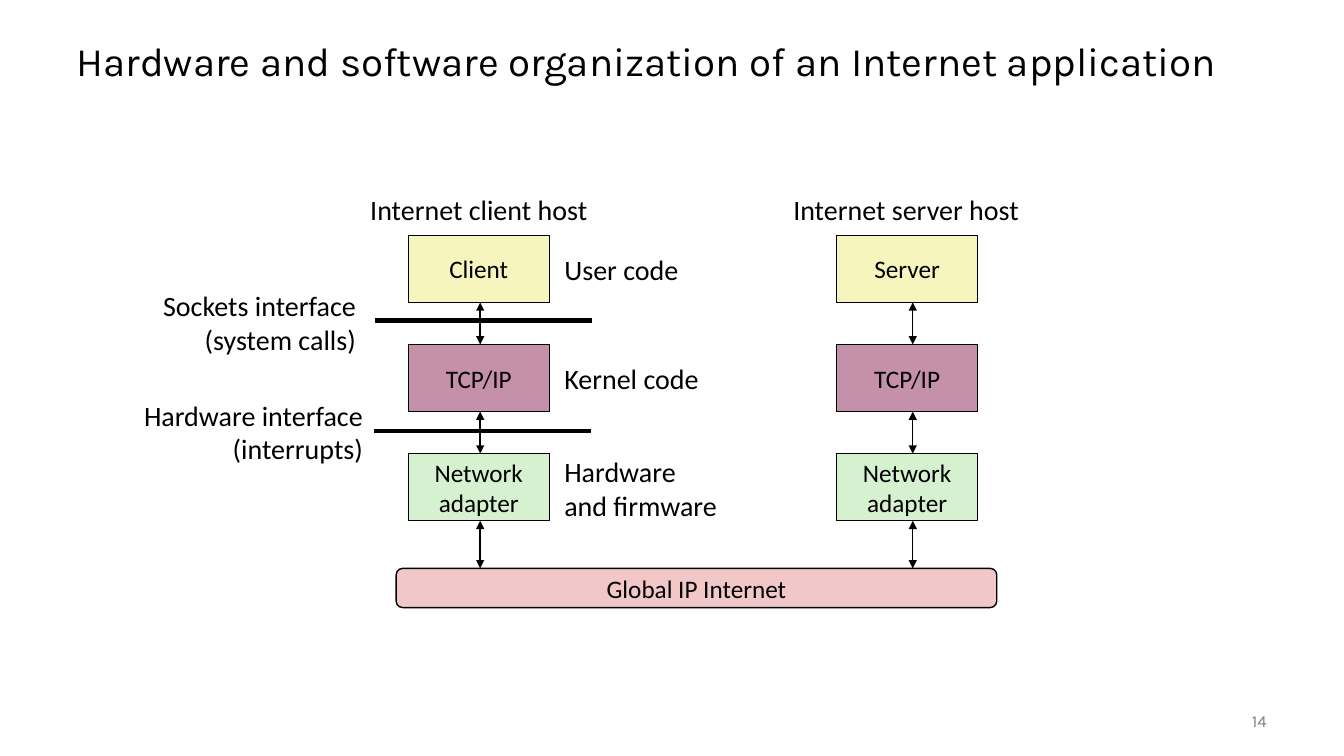
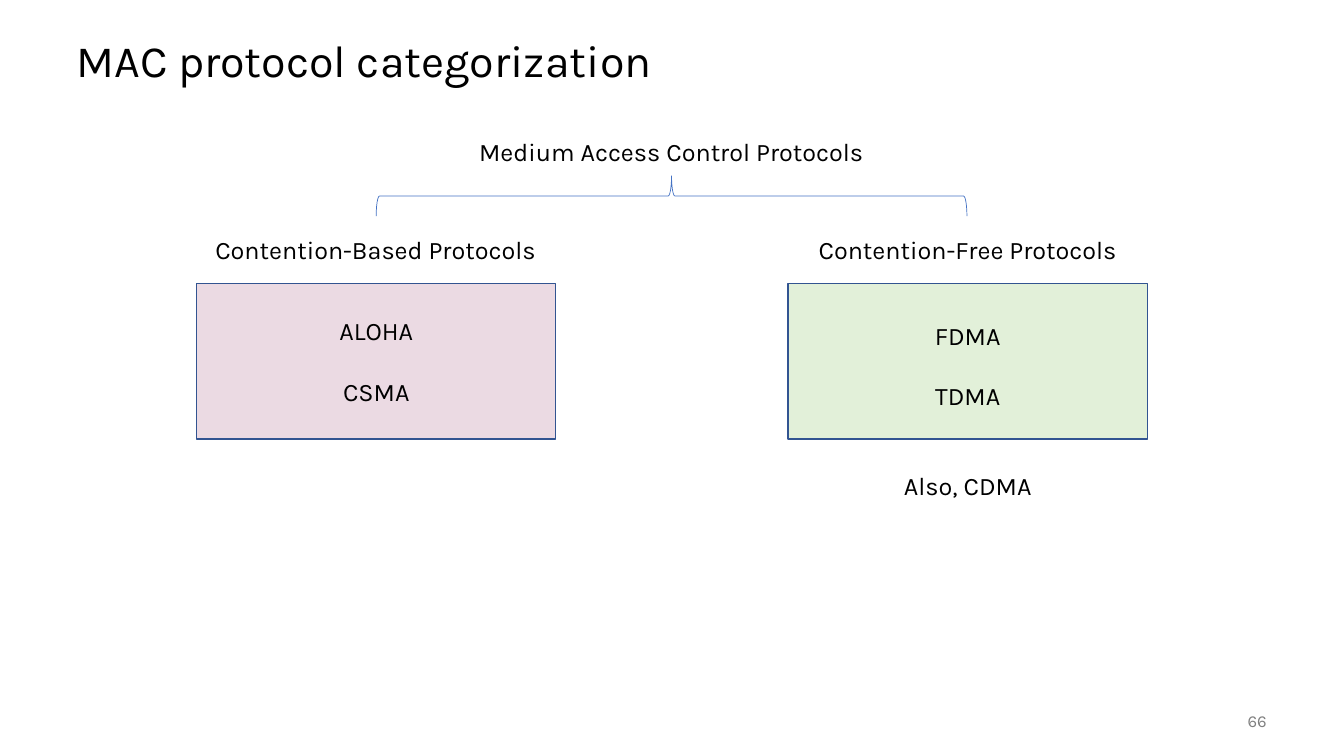
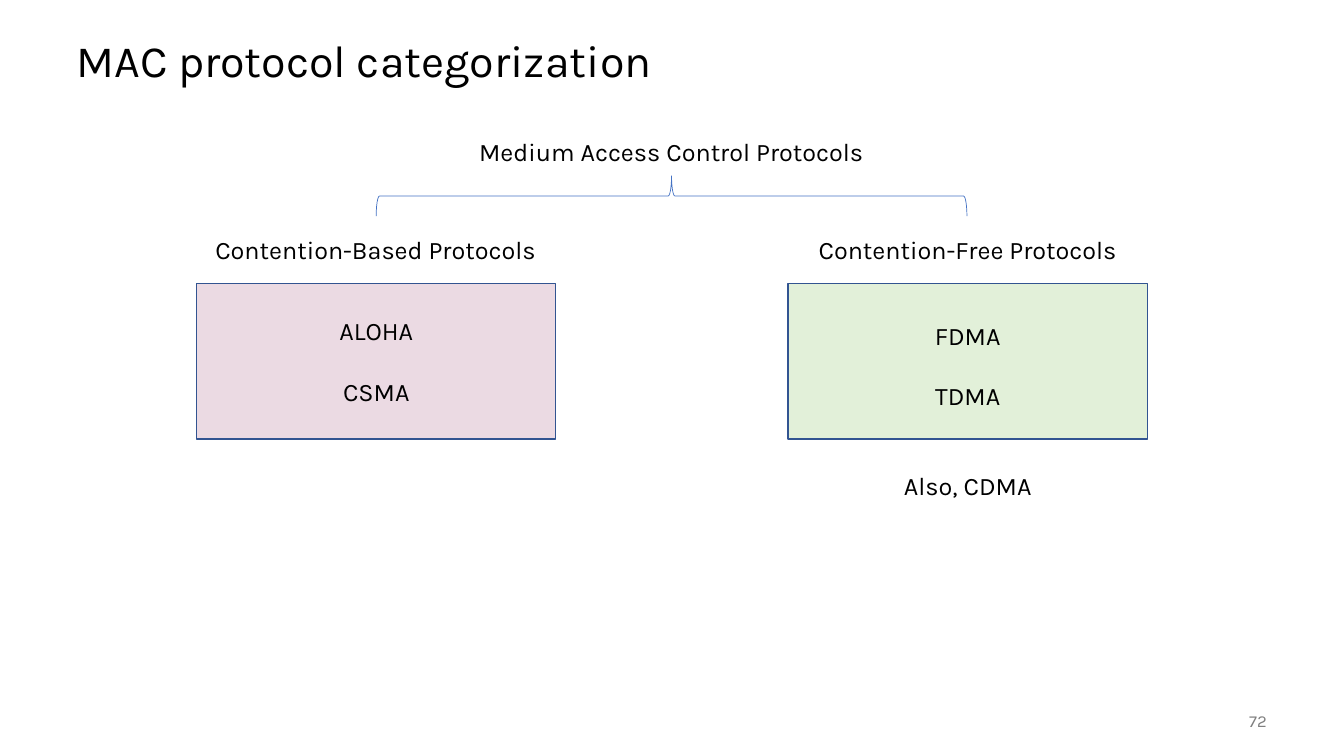
import pptx
import pptx.dml.color
import pptx.enum.shapes
import pptx.enum.text
import pptx.oxml.ns
import pptx.util
import lxml.etree

Pt = pptx.util.Pt
RGBColor = pptx.dml.color.RGBColor
MSO_SHAPE = pptx.enum.shapes.MSO_SHAPE
ALIGN = pptx.enum.text.PP_ALIGN
ANCHOR = pptx.enum.text.MSO_ANCHOR
qn = pptx.oxml.ns.qn

BLACK = RGBColor(0x00, 0x00, 0x00)
GRAY = RGBColor(0x80, 0x80, 0x80)
YELLOW = RGBColor(0xF6, 0xF5, 0xBD)
MAUVE = RGBColor(0xC4, 0x90, 0xAA)
MINT = RGBColor(0xD5, 0xF1, 0xCF)
ROSE = RGBColor(0xF1, 0xC7, 0xC7)
PALE_PINK = RGBColor(0xEB, 0xDA, 0xE3)
PALE_GREEN = RGBColor(0xE2, 0xF0, 0xD9)
NAVY = RGBColor(0x32, 0x54, 0x91)
BLUE = RGBColor(0x44, 0x72, 0xC4)

HEADING_FONT = "Karla"
DIAGRAM_FONT = "Calibri"


def write(shape, lines, size, font=HEADING_FONT, color=BLACK, align=ALIGN.CENTER,
          anchor=ANCHOR.MIDDLE, wrap=True):
    frame = shape.text_frame
    frame.word_wrap = wrap
    frame.vertical_anchor = anchor
    for index, line in enumerate(lines):
        para = frame.add_paragraph() if index else frame.paragraphs[0]
        para.text = line
        para.alignment = align
        para.font.name = font
        para.font.size = Pt(size)
        para.font.color.rgb = color
    return frame.paragraphs


def connect(page, x1, y1, x2, y2, width, arrows=False):
    line = page.shapes.add_connector(pptx.enum.shapes.MSO_CONNECTOR.STRAIGHT,
                                     Pt(x1), Pt(y1), Pt(x2), Pt(y2))
    line.line.color.rgb = BLACK
    line.line.width = Pt(width)
    if arrows:
        outline = line.line._get_or_add_ln()
        for end in ("a:headEnd", "a:tailEnd"):
            lxml.etree.SubElement(outline, qn(end), type="triangle")
    lxml.etree.SubElement(line._element.spPr, qn("a:effectLst"))


deck = pptx.Presentation()
deck.slide_width = Pt(960)
deck.slide_height = Pt(540)

# Titles and page numbers
pages = []
for title, title_size, number in (
    ("Hardware and software organization of an Internet application", 28.8, "14"),
    ("MAC protocol categorization", 32, "66"),
    ("MAC protocol categorization", 32, "72"),
):
    page = deck.slides.add_slide(deck.slide_layouts[6])
    box = page.shapes.add_textbox(Pt(47.5), Pt(18), Pt(864), Pt(54))
    write(box, [title], title_size, align=ALIGN.LEFT)[0].line_spacing = 0.9
    box = page.shapes.add_textbox(Pt(840), Pt(500.4), Pt(72), Pt(28.8))
    write(box, [number], 12, color=GRAY, align=ALIGN.RIGHT)
    pages.append(page)

# Slide 1: protocol stacks of the two hosts
host_page = pages[0]
layer_width, layer_height, layer_pitch, stack_top = 100.8, 48, 78, 168
internet_top = 406
for left, arrow_x, program in ((291.6, 343, "Client"), (597.6, 652, "Server")):
    layers = (([program], YELLOW), (["TCP/IP"], MAUVE), (["Network", "adapter"], MINT))
    for row, (lines, fill) in enumerate(layers):
        top = stack_top + row * layer_pitch
        bottom = top + layer_height
        layer = host_page.shapes.add_shape(MSO_SHAPE.RECTANGLE, Pt(left), Pt(top),
                                           Pt(layer_width), Pt(layer_height))
        layer.shadow.inherit = False
        layer.fill.solid()
        layer.fill.fore_color.rgb = fill
        layer.line.color.rgb = BLACK
        layer.line.width = Pt(1)
        write(layer, lines, 18, DIAGRAM_FONT, wrap=False)
        arrow_end = internet_top if row == 2 else top + layer_pitch
        connect(host_page, arrow_x, bottom, arrow_x, arrow_end, 1, arrows=True)

# Slide 1: the network below both hosts
internet = host_page.shapes.add_shape(MSO_SHAPE.ROUNDED_RECTANGLE, Pt(283),
                                      Pt(internet_top), Pt(429), Pt(28))
internet.shadow.inherit = False
internet.fill.solid()
internet.fill.fore_color.rgb = ROSE
internet.line.color.rgb = BLACK
internet.line.width = Pt(1)
write(internet, ["Global IP Internet"], 18, DIAGRAM_FONT, wrap=False)

# Slide 1: labels and interface lines
for left, top, width, align, lines in (
    (256.3, 134, 171.4, ALIGN.CENTER, ["Internet client host"]),
    (558.7, 134, 177.1, ALIGN.CENTER, ["Internet server host"]),
    (107.3, 202.3, 154.1, ALIGN.RIGHT, ["Sockets interface", "(system calls)"]),
    (93.6, 280.8, 172.8, ALIGN.RIGHT, ["Hardware interface", "(interrupts)"]),
    (396, 176.4, 97.2, ALIGN.LEFT, ["User code"]),
    (396, 254.4, 111.6, ALIGN.LEFT, ["Kernel code"]),
    (396, 321.1, 124.6, ALIGN.LEFT, ["Hardware", "and firmware"]),
):
    height = 31.5 if len(lines) == 1 else 55.5
    label = host_page.shapes.add_textbox(Pt(left), Pt(top), Pt(width), Pt(height))
    write(label, lines, 20, DIAGRAM_FONT, align=align, wrap=False)
for left, y in ((268, 229), (267, 308)):
    connect(host_page, left, y, left + 155, y, 3)

# Slides 2 and 3: protocol families under a brace
for page in pages[1:]:
    for left, top, text in (
        (324.7, 93.6, "Medium Access Control Protocols"),
        (113.5, 164, "Contention-Based Protocols"),
        (536.4, 164, "Contention-Free Protocols"),
    ):
        heading = page.shapes.add_textbox(Pt(left), Pt(top), Pt(309.6), Pt(29))
        write(heading, [text], 18, anchor=ANCHOR.TOP)

    for left, fill, list_top, list_height, names in (
        (140.5, PALE_PINK, 221.8, 72.7, ["ALOHA", "CSMA"]),
        (563, PALE_GREEN, 225, 138, ["FDMA", "TDMA", "Also, CDMA"]),
    ):
        panel = page.shapes.add_shape(MSO_SHAPE.RECTANGLE, Pt(left), Pt(202.5),
                                      Pt(256.5), Pt(111))
        panel.shadow.inherit = False
        panel.fill.solid()
        panel.fill.fore_color.rgb = fill
        panel.line.color.rgb = NAVY
        panel.line.width = Pt(1)
        protocols = page.shapes.add_textbox(Pt(left), Pt(list_top), Pt(256.5), Pt(list_height))
        paras = write(protocols, names, 18, anchor=ANCHOR.TOP)
        for index, para in enumerate(paras[1:], start=1):
            para.space_before = Pt(21.5 * index)

    brace = page.shapes.add_shape(MSO_SHAPE.RIGHT_BRACE, Pt(465.3), Pt(-71), Pt(28.8), Pt(422))
    brace.rotation = 270
    brace.shadow.inherit = False
    brace.fill.background()
    brace.line.color.rgb = BLUE
    brace.line.width = Pt(0.5)

deck.save("out.pptx")
